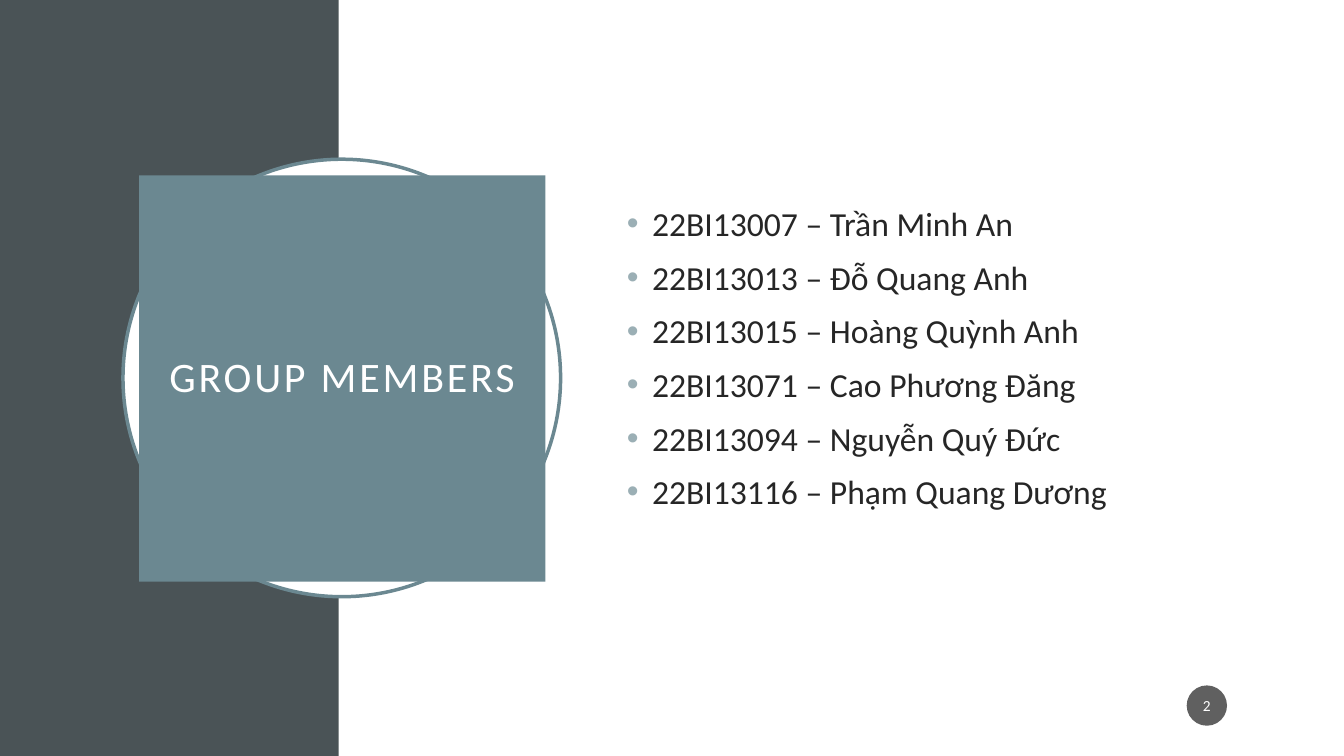
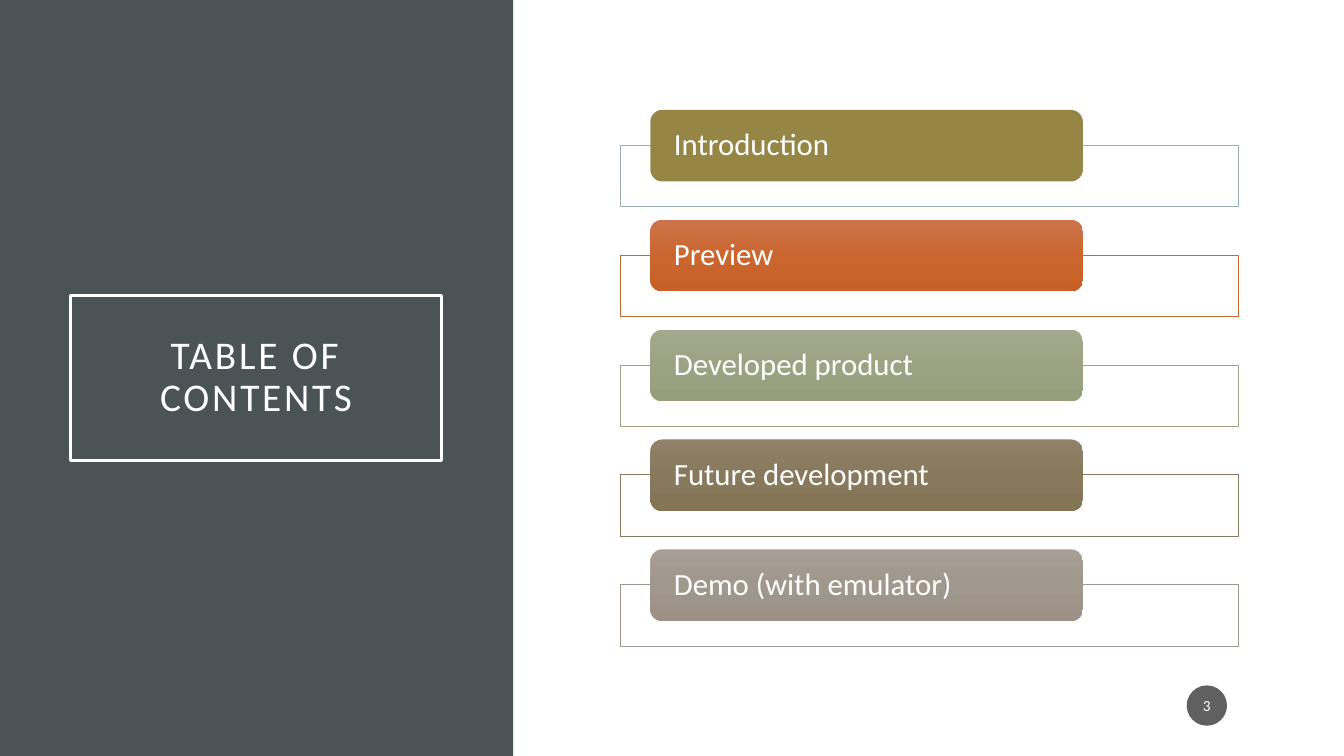
from copy import deepcopy

from lxml.etree import SubElement
from pptx import Presentation
from pptx.dml.color import RGBColor
from pptx.enum.shapes import MSO_SHAPE as Shape
from pptx.enum.text import MSO_ANCHOR as Anchor, MSO_AUTO_SIZE as AutoSize, PP_ALIGN as Align
from pptx.oxml.ns import qn
from pptx.util import Pt

PX = 9144
WIDTH, HEIGHT = 1333, 750
FONT = "Calibri"
WHITE, SLATE, TEAL = "FFFFFF", "4A5356", "6B8891"
INK, BULLET, BADGE = "262626", "9BAFB5", "1D1D1D"
TITLE_ONLY = 5

MEMBERS = [
    "22BI13007 – Trần Minh An",
    "22BI13013 – Đỗ Quang Anh",
    "22BI13015 – Hoàng Quỳnh Anh",
    "22BI13071 – Cao Phương Đăng",
    "22BI13094 – Nguyễn Quý Đức",
    "22BI13116 – Phạm Quang Dương",
]
CONTENTS = [
    ("Introduction", BULLET, ["958646"]),
    ("Preview", "C96731", ["CC734B", "CB662F", "C86128"]),
    ("Developed product", "9CA383", ["A3A98C", "9CA383", "979E7C"]),
    ("Future development", "87795D", ["8F8269", "88795C", "847557"]),
    ("Demo (with emulator)", "A0988C", ["A79F95", "A0988C", "9B9285"]),
]


def color(value):
    return RGBColor.from_string(value)


def px(*lengths):
    return [length * PX for length in lengths]


def set_fill(shape, value):
    shape.fill.solid()
    shape.fill.fore_color.rgb = color(value)


def set_gradient(shape, values):
    fill = shape.fill
    fill.gradient()
    fill.gradient_angle = 270
    stops = shape._element.spPr.find(qn("a:gradFill")).find(qn("a:gsLst"))
    stops.insert(1, deepcopy(stops[0]))
    for index, (stop, value) in enumerate(zip(fill.gradient_stops, values)):
        stop.position = index / 2
        stop.color.rgb = color(value)


def set_line(shape, value, width):
    shape.line.color.rgb = color(value)
    shape.line.width = Pt(width)


def set_alpha(shape, percent):
    solid = shape._element.spPr.find(qn("a:solidFill"))
    SubElement(solid[0], qn("a:alpha"), val=str(percent * 1000))


def add_shape(slide, kind, box, fill=None, line=None, width=0.5):
    shape = slide.shapes.add_shape(kind, *px(*box))
    shape.shadow.inherit = False
    if fill:
        set_fill(shape, fill)
    if line:
        set_line(shape, line, width)
    else:
        shape.line.fill.background()
    return shape


def set_frame(shape, horizontal, vertical):
    frame = shape.text_frame
    frame.word_wrap = True
    frame.auto_size = AutoSize.NONE
    frame.vertical_anchor = Anchor.MIDDLE
    frame.margin_left, frame.margin_right = px(horizontal, horizontal)
    frame.margin_top, frame.margin_bottom = px(vertical, vertical)
    return frame


def add_run(paragraph, text, size, value=WHITE, align=Align.LEFT):
    paragraph.alignment = align
    run = paragraph.add_run()
    run.text = text
    run.font.name = FONT
    run.font.size = Pt(size)
    run.font.color.rgb = color(value)
    return run


def place_title(slide, text, box, size):
    title = slide.shapes.title
    slide.shapes._spTree.append(title._element)
    title.left, title.top, title.width, title.height = px(*box)
    paragraph = set_frame(title, 20, 20).paragraphs[0]
    paragraph.line_spacing = 0.9
    run = add_run(paragraph, text, size, align=Align.CENTER)
    run.font._element.set("spc", "200")
    return title


def add_bullets(slide, items, box):
    frame = set_frame(slide.shapes.add_textbox(*px(*box)), 10, 5)
    for index, item in enumerate(items):
        paragraph = frame.add_paragraph() if index else frame.paragraphs[0]
        paragraph.space_before = Pt(9.5)
        add_run(paragraph, item, 24, INK)
        properties = paragraph._p.get_or_add_pPr()
        properties.set("marL", str(25 * PX))
        properties.set("indent", str(-25 * PX))
        bullet_color = SubElement(properties, qn("a:buClr"))
        SubElement(bullet_color, qn("a:srgbClr"), val=BULLET)
        SubElement(properties, qn("a:buFont"), typeface="Arial")
        SubElement(properties, qn("a:buChar"), char="•")


def add_entry(slide, top, text, outline, fills):
    add_shape(slide, Shape.RECTANGLE, (615, top + 35, 613, 61), WHITE, outline)
    label = add_shape(slide, Shape.ROUNDED_RECTANGLE, (645, top, 429, 71), fills[0])
    if len(fills) > 1:
        set_gradient(label, fills)
    paragraph = set_frame(label, 20, 0).paragraphs[0]
    paragraph.line_spacing = 0.9
    add_run(paragraph, text, 22)


def add_slide_number(slide, number):
    badge = add_shape(slide, Shape.OVAL, (1177, 680, 40, 40), BADGE)
    set_alpha(badge, 70)
    paragraph = set_frame(badge, 2, 5).paragraphs[0]
    add_run(paragraph, str(number), 11, align=Align.CENTER)


def start_slide(presentation, band_width):
    slide = presentation.slides.add_slide(presentation.slide_layouts[TITLE_ONLY])
    add_shape(slide, Shape.RECTANGLE, (0, 0, band_width, HEIGHT), SLATE)
    return slide


def build_members(presentation):
    slide = start_slide(presentation, 336)
    add_shape(slide, Shape.OVAL, (122, 158, 434, 434), WHITE, TEAL, 2.5)
    title = place_title(slide, "GROUP MEMBERS", (138, 174, 403, 403), 30)
    set_fill(title, TEAL)
    add_bullets(slide, MEMBERS, (612, 155, 582, 399))
    add_slide_number(slide, 2)


def build_contents(presentation):
    slide = start_slide(presentation, 509)
    title = place_title(slide, "TABLE OF CONTENTS", (70, 293, 368, 164), 28)
    set_line(title, WHITE, 2.5)
    for index, entry in enumerate(CONTENTS):
        add_entry(slide, 109 + 109 * index, *entry)
    add_slide_number(slide, 3)


def main():
    presentation = Presentation()
    presentation.slide_width, presentation.slide_height = px(WIDTH, HEIGHT)
    build_members(presentation)
    build_contents(presentation)
    presentation.save("out.pptx")


if __name__ == "__main__":
    main()
